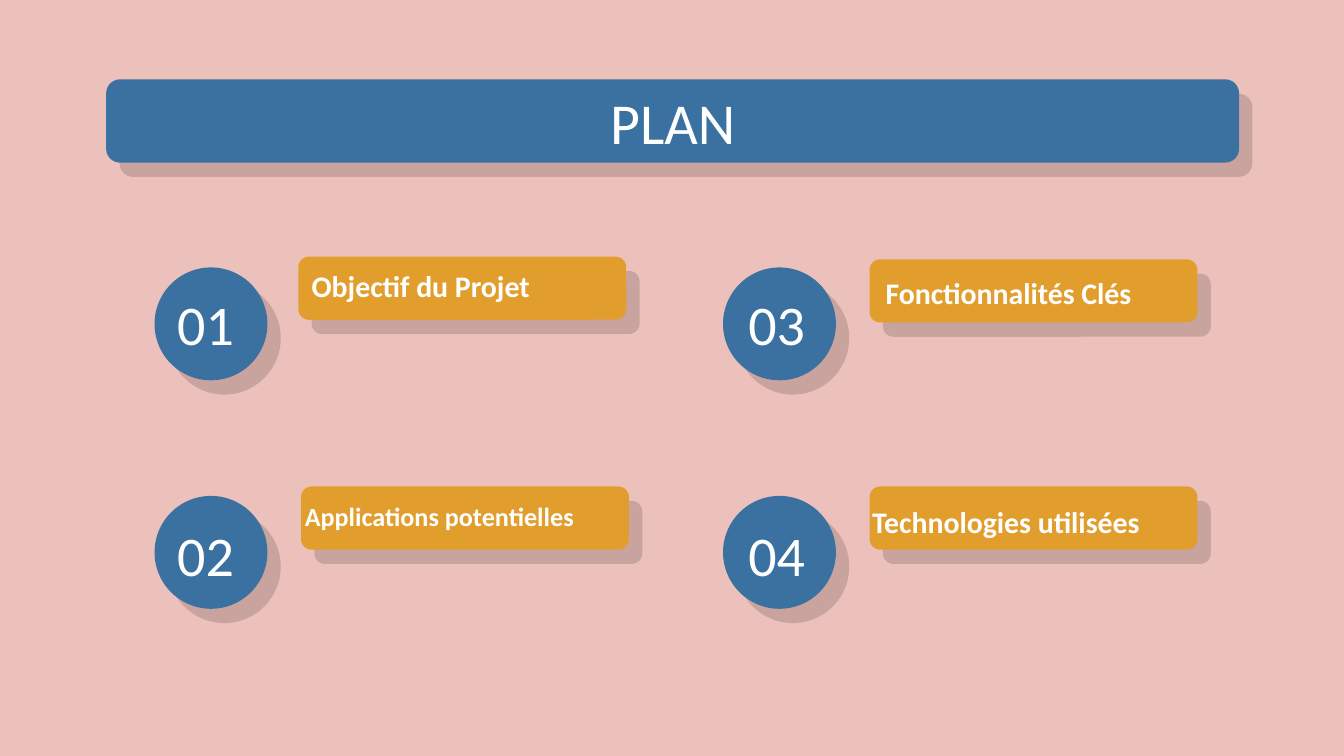
from lxml.etree import SubElement
from pptx import Presentation
from pptx.dml.color import RGBColor
from pptx.enum.shapes import MSO_SHAPE
from pptx.enum.text import MSO_ANCHOR, PP_ALIGN
from pptx.oxml.ns import qn
from pptx.util import Inches, Pt

THEME = {
    "font": "Calibri",
    "background": "EDC1BB", "blue": "3A71A1", "gold": "E19E2C",
    "text": "FFFFFF", "shadow": "000000",
    "title": 31, "number": 30, "topic": 16, "topic_small": 14,
}

TITLE = "PLAN"
TITLE_BOX = (0.79, 0.59, 8.43, 0.62)

# number, column, row, bar left and top, topic, topic box, topic size
ITEMS = [
    ("01", 0, 0, (2.22, 1.91), "Objectif du Projet", (2.22, 1.89, 2.41, 0.54), "topic"),
    ("02", 0, 1, (2.24, 3.62), "Applications potentielles", (2.17, 3.62, 2.83, 0.47), "topic_small"),
    ("03", 1, 0, (6.47, 1.93), "Fonctionnalités Clés", (6.49, 1.94, 2.41, 0.39), "topic"),
    ("04", 1, 1, (6.47, 3.62), "Technologies utilisées", (6.39, 3.65, 2.73, 0.54), "topic"),
]
CIRCLE_X, CIRCLE_Y, CIRCLE = (1.15, 5.38), (1.99, 3.69), 0.84
NUMBER_X, NUMBER_Y, NUMBER_SIZE = (0.96, 5.21), (2.08, 3.8), (1.14, 0.65)
BAR_SIZE = (2.44, 0.47)


def color(name):
    return RGBColor.from_string(THEME[name])


def add_block(slide, kind, box, fill):
    """Filled outline-free shape with a hard offset shadow."""
    sp = slide.shapes.add_shape(kind, *map(Inches, box))
    sp.fill.solid()
    sp.fill.fore_color.rgb = color(fill)
    sp.line.fill.background()
    sp.shadow.inherit = False
    effects = sp._element.spPr.find(qn("a:effectLst"))
    shadow = SubElement(effects, qn("a:outerShdw"), dist=str(Pt(10.5)),
                        dir=str(47 * 60000), algn="bl", rotWithShape="0")
    clr = SubElement(shadow, qn("a:srgbClr"), val=THEME["shadow"])
    SubElement(clr, qn("a:alpha"), val="14000")


def add_text(slide, text, box, size, heading=True):
    """Headings are centred both ways; topics are bold, left and top."""
    tf = slide.shapes.add_textbox(*map(Inches, box)).text_frame
    tf.word_wrap = True
    tf.margin_left = tf.margin_right = tf.margin_top = tf.margin_bottom = Inches(0.1)
    tf.vertical_anchor = MSO_ANCHOR.MIDDLE if heading else MSO_ANCHOR.TOP
    p = tf.paragraphs[0]
    p.text = text
    p.alignment = PP_ALIGN.CENTER if heading else PP_ALIGN.LEFT
    p.font.name = THEME["font"]
    p.font.size = Pt(THEME[size])
    p.font.bold = not heading
    p.font.color.rgb = color("text")


prs = Presentation()
prs.slide_width = Inches(10)
prs.slide_height = prs.slide_width * 9 // 16
slide = prs.slides.add_slide(prs.slide_layouts[6])
slide.background.fill.solid()
slide.background.fill.fore_color.rgb = color("background")

# Title banner
add_block(slide, MSO_SHAPE.ROUNDED_RECTANGLE, TITLE_BOX, "blue")
add_text(slide, TITLE, TITLE_BOX, "title")

# Numbered topics
for number, col, row, bar, topic, topic_box, size in ITEMS:
    add_block(slide, MSO_SHAPE.OVAL, (CIRCLE_X[col], CIRCLE_Y[row], CIRCLE, CIRCLE), "blue")
    add_block(slide, MSO_SHAPE.ROUNDED_RECTANGLE, bar + BAR_SIZE, "gold")
    add_text(slide, number, (NUMBER_X[col], NUMBER_Y[row]) + NUMBER_SIZE, "number")
    add_text(slide, topic, topic_box, size, heading=False)

prs.save("out.pptx")
